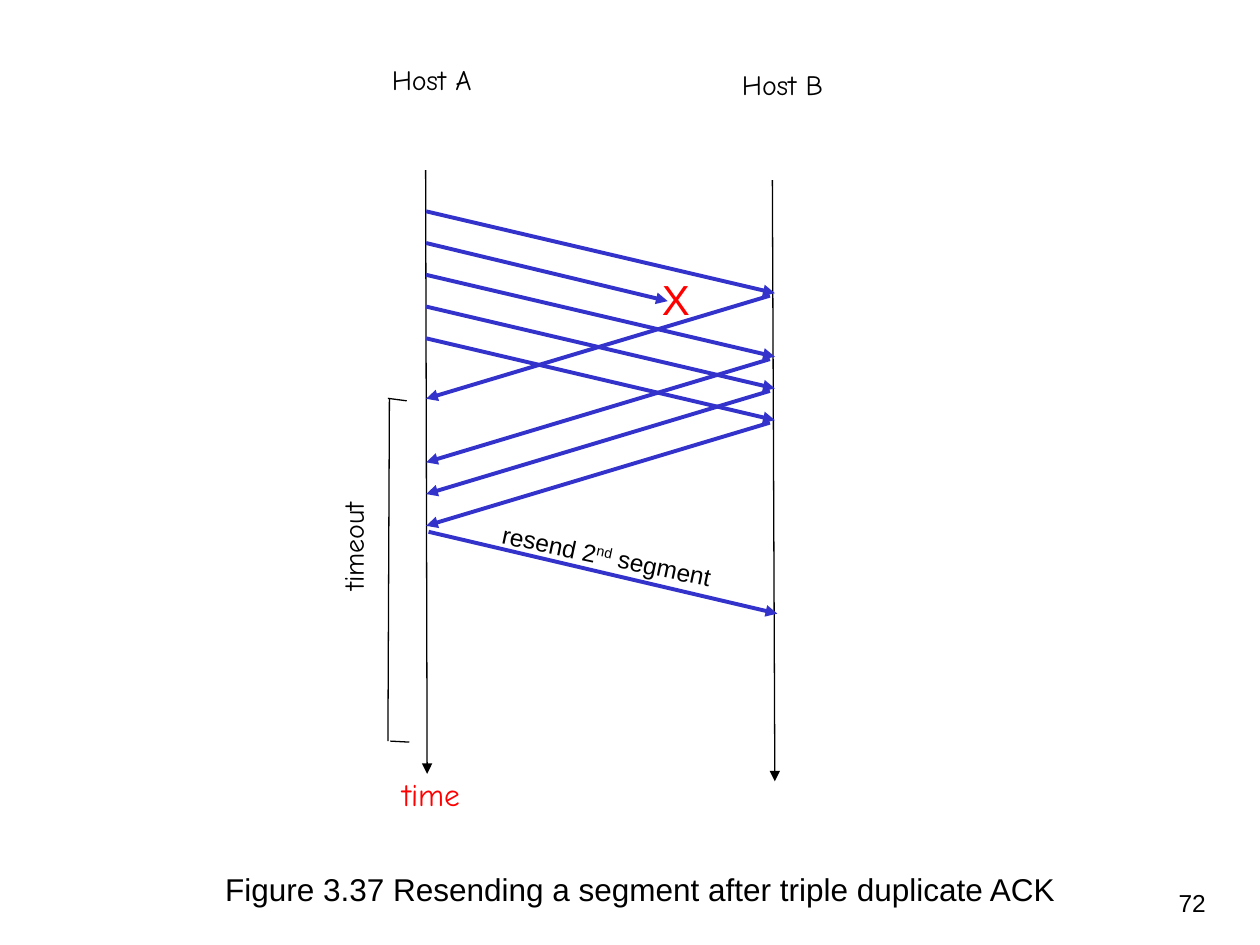
from pptx import Presentation
from pptx.dml.color import RGBColor
from pptx.enum.shapes import MSO_CONNECTOR as Connector
from pptx.enum.text import MSO_AUTO_SIZE as AutoSize, PP_ALIGN as Align
from pptx.oxml.ns import qn
from pptx.util import Cm, Pt
from lxml.etree import SubElement

BLACK, BLUE, RED = "000000", "3333CC", "FF0000"
HAND, SANS = "Comic Neue", "Arial"

HOST_A, HOST_B = 8.59, 15.62
FIRST_SEND, SEND_GAP = 4.26, 0.64
SEGMENT_DROP, ACK_DROP, ACK_DELAY = 1.65, 2.08, 0.05
SEGMENTS, LOST = 5, 1
SKIPPED_ACKS = (LOST,)


def color(value):
    return RGBColor.from_string(value)


def add_line(page, start, end, stroke=BLACK, width=0.75, arrow=False):
    line = page.shapes.add_connector(
        Connector.STRAIGHT, *(Cm(value) for value in (*start, *end)))
    line.line.color.rgb = color(stroke)
    line.line.width = Pt(width)
    if arrow:
        SubElement(line.line._get_or_add_ln(), qn("a:tailEnd"), type="triangle")
    SubElement(line._element.spPr, qn("a:effectLst"))


def add_message(page, start, end):
    add_line(page, start, end, BLUE, 2.25, arrow=True)


def add_label(page, frame, texts, size, font=SANS, fill=BLACK,
              align=Align.CENTER, rotation=0, wrap=False):
    box = page.shapes.add_textbox(*(Cm(value) for value in frame))
    box.rotation = rotation
    box.text_frame.word_wrap = wrap
    box.text_frame.auto_size = AutoSize.NONE
    para = box.text_frame.paragraphs[0]
    para.alignment = align
    for text in texts:
        para.add_run().text = text
    para.font.name = font
    para.font.size = Pt(size)
    para.font.color.rgb = color(fill)
    return para


def draw_timelines(page):
    add_line(page, (8.58, 3.43), (8.61, 15.6), arrow=True)
    add_line(page, (15.57, 3.63), (15.62, 15.75), arrow=True)
    add_label(page, (7.65, 1.14, 2.11, 0.94), ["Host A"], 16, HAND)
    add_label(page, (14.71, 1.24, 2.13, 0.94), ["Host B"], 16, HAND)
    add_label(page, (7.85, 15.49, 1.68, 1.02), ["time"], 18, HAND, RED)


def draw_messages(page):
    for index in range(SEGMENTS):
        sent = FIRST_SEND + index * SEND_GAP
        arrival = sent + SEGMENT_DROP
        if index == LOST:
            add_message(page, (HOST_A, sent), (13.46, 6.07))
            continue
        add_message(page, (HOST_A, sent), (HOST_B, arrival))
        # Each segment that arrives is acknowledged
        reply = arrival + ACK_DELAY
        add_message(page, (HOST_B - 0.1, reply), (HOST_A, reply + ACK_DROP))
    add_label(page, (13.23, 5.38, 0.79, 1.27), ["X"], 24, fill=RED)


def draw_resend(page):
    add_message(page, (8.64, 10.72), (15.67, 10.72 + SEGMENT_DROP))
    para = add_label(page, (9.83, 10.87, 5.64, 0.86),
                     ["resend 2", "nd", " segment"], 14,
                     align=Align.LEFT, rotation=11.9, wrap=True)
    para.runs[1].font._element.set("baseline", "30000")


def draw_timeout(page):
    add_line(page, (7.85, 8.03), (7.82, 14.94))
    add_line(page, (7.82, 8.03), (8.2, 8.08))
    add_line(page, (7.87, 14.94), (8.25, 14.96))
    add_label(page, (5.97, 10.54, 2.29, 0.94), ["timeout"], 16, HAND,
              rotation=270)


def main():
    deck = Presentation()
    deck.slide_width, deck.slide_height = Cm(25.4), Cm(19.05)
    page = deck.slides.add_slide(deck.slide_layouts[6])

    # Sequence diagram
    draw_timelines(page)
    draw_messages(page)
    draw_resend(page)
    draw_timeout(page)

    # Caption and page number
    add_label(page, (4.29, 17.42, 17.27, 1.02),
              ["Figure 3.37 Resending a segment after triple duplicate ACK"],
              18, align=Align.LEFT)
    add_label(page, (22.68, 17.78, 1.88, 1.27), ["72"], 14,
              align=Align.RIGHT, wrap=True)
    deck.save("out.pptx")


if __name__ == "__main__":
    main()
